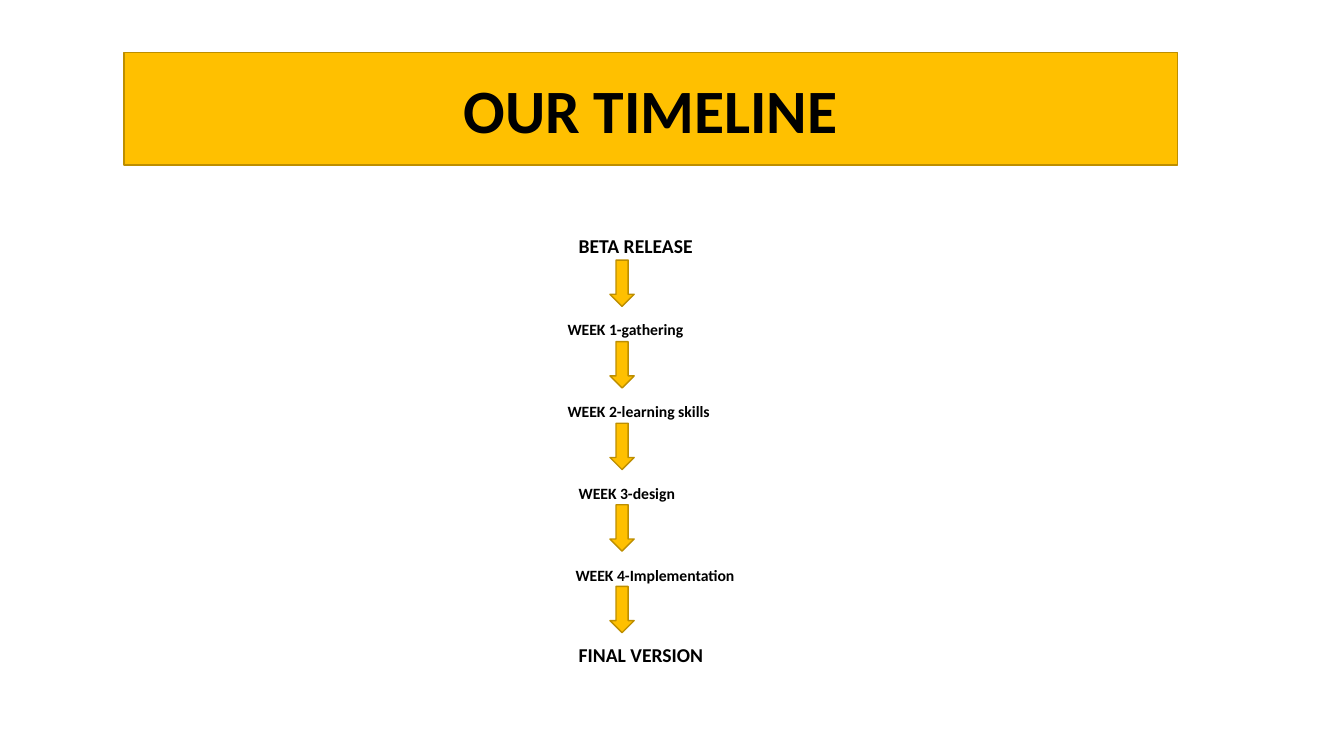
from pptx import Presentation
from pptx.dml.color import RGBColor
from pptx.enum.shapes import MSO_SHAPE as Shape
from pptx.enum.text import MSO_ANCHOR as Anchor, PP_ALIGN as Align
from pptx.util import Inches, Pt

GOLD = RGBColor(0xFF, 0xC0, 0x00)
DARK_GOLD = RGBColor(0xBD, 0x8E, 0x00)
BLACK = RGBColor(0x00, 0x00, 0x00)

# Milestone, text size in points, indent in inches
MILESTONES = [
    ("BETA RELEASE", 14, 0.11),
    ("WEEK 1-gathering", 11.2, 0),
    ("WEEK 2-learning skills", 11.2, 0),
    ("WEEK 3-design", 11.2, 0.11),
    ("WEEK 4-Implementation", 11.2, 0.08),
    ("FINAL VERSION", 14, 0.11),
]
LINE_HEIGHT = 14
MILESTONE_GAP = 44.5
FIRST_ARROW_TOP = 35.87
ARROW_STEP = 10.79


def write(paragraph, text, *, size, align=Align.LEFT, indent=0, line=None, before=0):
    if indent:
        paragraph._p.get_or_add_pPr().set("marL", str(Inches(indent)))
    paragraph.alignment = align
    paragraph.space_before = Pt(before)
    if line:
        paragraph.line_spacing = Pt(line)
    run = paragraph.add_run()
    run.text = text
    run.font.name = "Calibri"
    run.font.size = Pt(size)
    run.font.bold = True
    run.font.color.rgb = BLACK


class TimelineSlide:
    """Places elements by percentages of the slide's width and height."""

    def __init__(self, deck):
        self.width, self.height = deck.slide_width, deck.slide_height
        self.shapes = deck.slides.add_slide(deck.slide_layouts[6]).shapes

    def across(self, percent):
        return round(self.width * percent / 100)

    def down(self, percent):
        return round(self.height * percent / 100)

    def area(self, left, top, width, height):
        return self.across(left), self.down(top), self.across(width), self.down(height)

    def gold_shape(self, kind, *area):
        shape = self.shapes.add_shape(kind, *self.area(*area))
        shape.shadow.inherit = False
        shape.fill.solid()
        shape.fill.fore_color.rgb = GOLD
        shape.line.color.rgb = DARK_GOLD
        shape.line.width = Pt(1)
        return shape

    def banner(self, title, *area):
        frame = self.gold_shape(Shape.RECTANGLE, *area).text_frame
        frame.vertical_anchor = Anchor.MIDDLE
        write(frame.paragraphs[0], title, size=44, align=Align.CENTER)

    def down_arrow(self, *area):
        self.gold_shape(Shape.RIGHT_ARROW, *area).rotation = 90

    def milestones(self, entries, *area, inset_left, inset_top):
        frame = self.shapes.add_textbox(*self.area(*area)).text_frame
        frame.word_wrap = True
        frame.margin_left = self.across(inset_left)
        frame.margin_top = self.down(inset_top)
        for index, (label, size, indent) in enumerate(entries):
            paragraph = frame.add_paragraph() if index else frame.paragraphs[0]
            write(paragraph, label, size=size, indent=indent, line=LINE_HEIGHT,
                  before=MILESTONE_GAP if index else 0)


def main():
    deck = Presentation()
    deck.slide_width, deck.slide_height = Inches(13.33), Inches(7.5)
    timeline = TimelineSlide(deck)
    timeline.milestones(MILESTONES, 6.9, 26.67, 86.27, 63.47,
                        inset_left=35.33, inset_top=4.75)
    for step in range(len(MILESTONES) - 1):
        timeline.down_arrow(44.56, FIRST_ARROW_TOP + step * ARROW_STEP, 3.45, 3.2)
    timeline.banner("OUR TIMELINE", 9.23, 6.93, 78.39, 14.93)
    deck.save("out.pptx")


if __name__ == "__main__":
    main()
